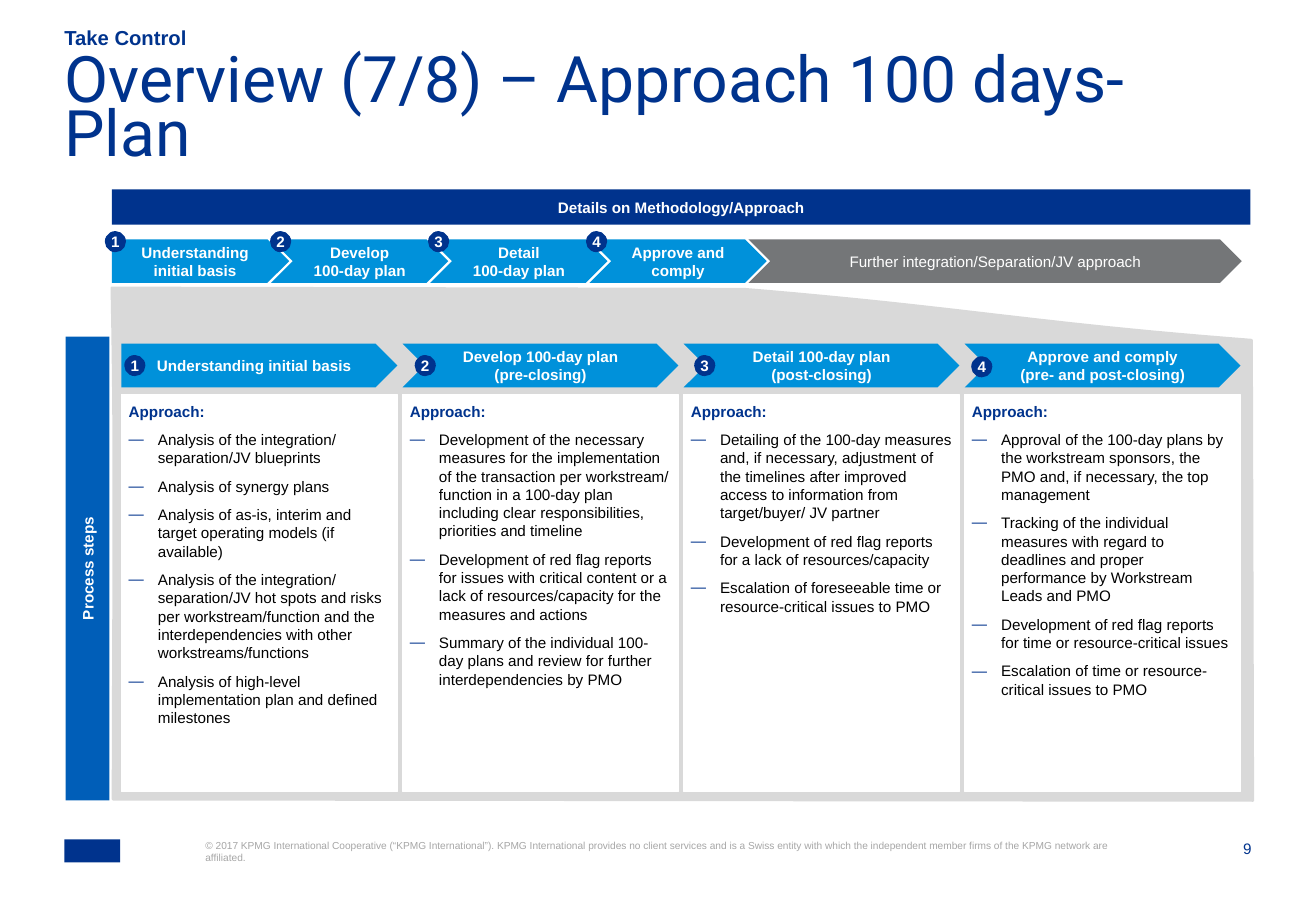
from lxml import etree
from pptx import Presentation
from pptx import util as u
from pptx.dml.color import RGBColor
from pptx.enum import shapes, text
from pptx.oxml import ns

COLOURS = {"navy": "00338D", "blue": "005EB8", "sky": "0091DA", "grey": "747678",
           "funnel": "D9D9D9", "footer": "A6A6A6", "white": "FFFFFF", "black": "000000"}
CELL = 0.1
FORM = shapes.MSO_SHAPE
ALIGN = text.PP_ALIGN
ANCHOR = text.MSO_ANCHOR


class Board:
    """Draws styled elements on one slide, measured in grid cells of a tenth of an inch."""

    def __init__(self, columns, rows):
        self.deck = Presentation()
        self.deck.slide_width, self.deck.slide_height = self.cells(columns), self.cells(rows)
        self.slide = self.deck.slides.add_slide(self.deck.slide_layouts[6])

    def cells(self, count):
        return u.Inches(count * CELL)

    def colour(self, name):
        return RGBColor.from_string(COLOURS[name])

    def paint(self, shape, fill, line=0):
        shape.shadow.inherit = False
        shape.fill.solid()
        shape.fill.fore_color.rgb = self.colour(fill)
        if line:
            shape.line.color.rgb = self.colour(fill)
            shape.line.width = u.Pt(line)
        else:
            shape.line.fill.background()

    def frame(self, shape, inset, anchor, wrap=True):
        frame = shape.text_frame
        frame.word_wrap = wrap
        frame.vertical_anchor = anchor
        frame.margin_left, frame.margin_top, frame.margin_right, frame.margin_bottom = (
            self.cells(side) for side in inset)
        return frame

    def say(self, paragraph, words, colour, size=9, bold=False, align=ALIGN.LEFT, font="Arial"):
        paragraph.alignment = align
        for index, line in enumerate(words.split("\n")):
            if index:
                paragraph.add_line_break()
            run = paragraph.add_run()
            run.text = line
            run.font.name, run.font.size, run.font.bold = font, u.Pt(size), bold
            run.font.color.rgb = self.colour(colour)

    def label(self, box, words, colour, anchor=ANCHOR.TOP, spacing=None, **style):
        shape = self.slide.shapes.add_textbox(*map(self.cells, box))
        paragraph = self.frame(shape, (0, 0, 0, 0), anchor).paragraphs[0]
        if spacing:
            paragraph.line_spacing = spacing
        self.say(paragraph, words, colour, **style)

    def block(self, form, box, fill, words="", bold=True, line=0, inset=(1, 0.5, 1, 0.5),
              wrap=True, turn=0):
        shape = self.slide.shapes.add_shape(form, *map(self.cells, box))
        self.paint(shape, fill, line)
        shape.rotation = turn
        if words:
            frame = self.frame(shape, inset, ANCHOR.MIDDLE, wrap)
            self.say(frame.paragraphs[0], words, "white", bold=bold, align=ALIGN.CENTER)

    def badge(self, left, top, number):
        self.block(FORM.OVAL, (left, top, 1.6, 1.6), "navy", str(number), line=1,
                   inset=(0, 0, 0, 0), wrap=False)

    def panel(self, box, heading, points):
        shape = self.slide.shapes.add_shape(FORM.RECTANGLE, *map(self.cells, box))
        self.paint(shape, "white", 0.75)
        frame = self.frame(shape, (0.6, 0.6, 0.6, 0.6), ANCHOR.TOP)
        self.say(frame.paragraphs[0], heading, "navy", bold=True)
        frame.paragraphs[0].space_after = u.Pt(6)
        for point in points:
            paragraph = frame.add_paragraph()
            self.dash(paragraph)
            paragraph.space_after = u.Pt(6)
            self.say(paragraph, point, "black")

    def dash(self, paragraph):
        properties = paragraph._p.get_or_add_pPr()
        properties.set("marL", str(self.cells(2.4)))
        properties.set("indent", str(-self.cells(2.4)))
        tint = etree.SubElement(properties, ns.qn("a:buClr"))
        etree.SubElement(tint, ns.qn("a:srgbClr"), val=COLOURS["navy"])
        etree.SubElement(properties, ns.qn("a:buFont"), typeface="Arial")
        etree.SubElement(properties, ns.qn("a:buChar"), char="—")

    def outline(self, points, fill, line):
        corners = [(self.cells(x), self.cells(y)) for x, y in points]
        builder = self.slide.shapes.build_freeform(*corners[0], scale=1.0)
        builder.add_line_segments(corners[1:], close=True)
        self.paint(builder.convert_to_shape(), fill, line)


def curve(start, pull_start, pull_end, end, parts=24):
    def blend(a, b, c, d, t):
        return a * (1 - t) ** 3 + 3 * b * t * (1 - t) ** 2 + 3 * c * t ** 2 * (1 - t) + d * t ** 3
    return [tuple(blend(*axis, step / parts) for axis in zip(start, pull_start, pull_end, end))
            for step in range(parts + 1)]


STEPS = [
    ("Understanding\ninitial basis", 8.7), ("Develop\n100-day plan", 22.3),
    ("Detail\n100-day plan", 35.3), ("Approve and comply", 48.3),
]
PHASES = [
    ("Understanding initial basis", 10.3, 29.3, [
        "Analysis of the integration/ separation/JV blueprints",
        "Analysis of synergy plans",
        "Analysis of as-is, interim and target operating models (if available)",
        "Analysis of the integration/ separation/JV hot spots and risks per workstream/function "
        "and the interdependencies with other workstreams/functions",
        "Analysis of high-level implementation plan and defined milestones"]),
    ("Develop 100-day plan\n(pre-closing)", 34.2, 29.3, [
        "Development of the necessary measures for the implementation of the transaction per "
        "workstream/ function in a 100-day plan including clear responsibilities, priorities "
        "and timeline",
        "Development of red flag reports for issues with critical content or a lack of "
        "resources/capacity for the measures and actions",
        "Summary of the individual 100-day plans and review for further interdependencies by PMO"]),
    ("Detail 100-day plan\n(post-closing)", 57.2, 29.3, [
        "Detailing of the 100-day measures and, if necessary, adjustment of the timelines after "
        "improved access to information from target/buyer/ JV partner",
        "Development of red flag reports for a lack of resources/capacity",
        "Escalation of foreseeable time or resource-critical issues to PMO"]),
    ("Approve and comply\n(pre- and post-closing)", 80, 29.4, [
        "Approval of the 100-day plans by the workstream sponsors, the PMO and, if necessary, "
        "the top management",
        "Tracking of the individual measures with regard to deadlines and proper performance by "
        "Workstream Leads and PMO",
        "Development of red flag reports for time or resource-critical issues",
        "Escalation of time or resource-critical issues to PMO"]),
]


def main():
    board = Board(108.3, 75)
    board.label((98.7, 69.1, 4.3, 1.6), "9", "navy", align=ALIGN.RIGHT)
    board.block(FORM.RECTANGLE, (5.3, 69.1, 4.6, 1.9), "navy")
    board.label((16.9, 69.1, 74.9, 4.1),
                "© 2017 KPMG International Cooperative (“KPMG International”). KPMG International "
                "provides no client services and is a Swiss entity with which the independent "
                "member firms of the KPMG network are affiliated.", "footer", size=6)
    board.outline(curve((61.2, 23.8), (79.4, 25.3), (84.8, 26.6), (103, 28)) + [(103.1, 65.9)]
                  + curve((9.3, 65.8), (9.3, 51.7), (9.5, 37.7), (9.2, 23.7)), "funnel", 1.5)
    board.label((5.3, 2.2, 94, 1.9), "Take Control", "navy", ANCHOR.BOTTOM, size=12, bold=True)
    board.label((5.3, 4.9, 97.6, 7.9), "Overview (7/8) – Approach 100 days-Plan", "navy",
                spacing=0.7, size=38, font="Roboto")
    board.block(FORM.RECTANGLE, (9.2, 15.6, 93.7, 2.9), "navy", "Details on Methodology/Approach")
    board.block(FORM.RECTANGLE, (-11.9, 45, 38.2, 3.6), "blue", "Process steps", turn=270)

    board.block(FORM.CHEVRON, (61.6, 19.7, 40.6, 3.6), "grey",
                "Further integration/Separation/JV approach", bold=False)
    for index, (step, _) in enumerate(STEPS):
        arrow = FORM.CHEVRON if index else FORM.PENTAGON
        board.block(arrow, (9.2 + 13.1 * index, 19.7, 14.6, 3.6), "sky", step,
                    inset=(0.4, 0.5, 0.4, 0.5) if index == 1 else (1, 0.5, 1, 0.5))
    for number, (_, badge_left) in enumerate(STEPS, 1):
        board.badge(badge_left, 19.1, number)

    for index, (phase, badge_left, badge_top, points) in enumerate(PHASES):
        left = 10 + 23.13 * index
        arrow = FORM.CHEVRON if index else FORM.PENTAGON
        board.block(arrow, (left, 28.3, 22.7, 3.6), "sky", phase)
        board.panel((left, 32.5, 22.7, 32.7), "Approach:", points)
        board.badge(badge_left, badge_top, index + 1)
    board.deck.save("out.pptx")


if __name__ == "__main__":
    main()
